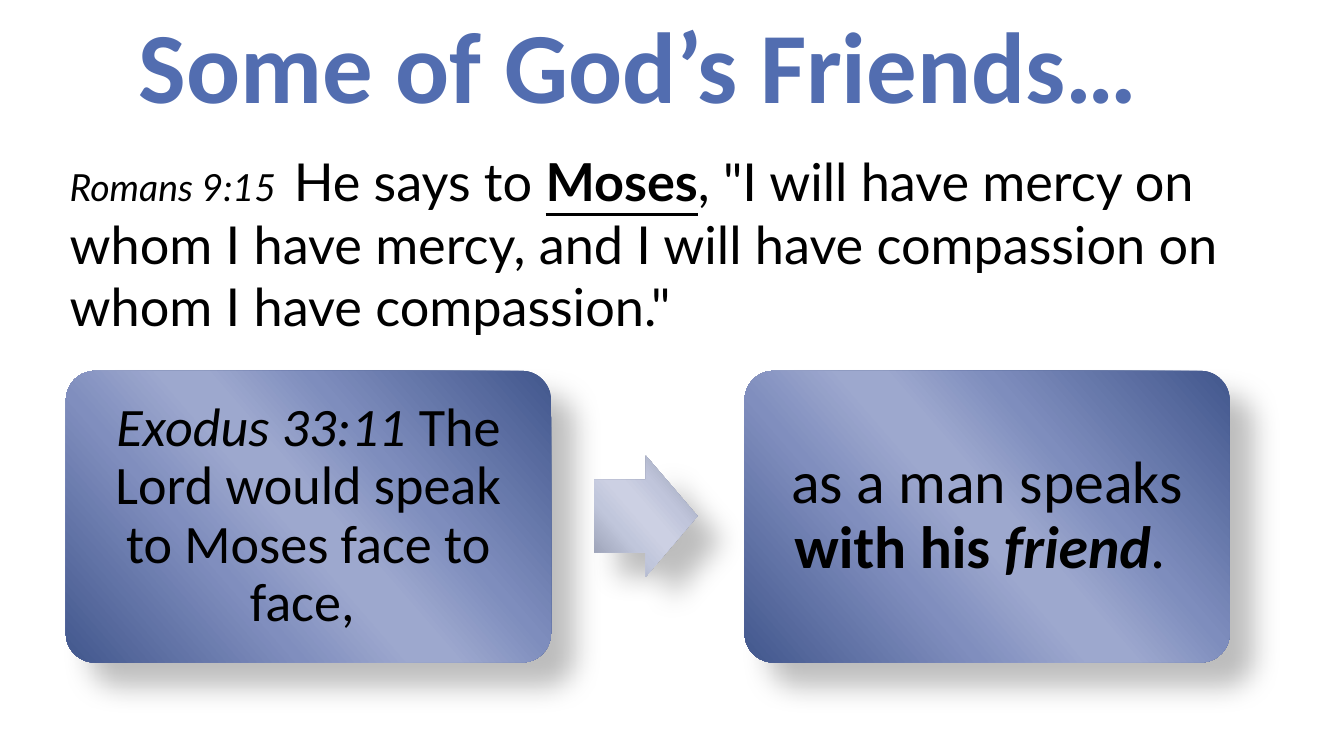
from dataclasses import dataclass

from lxml import etree
from pptx import Presentation
from pptx import util as u
from pptx.dml.color import RGBColor
from pptx.enum import shapes, text
from pptx.oxml.ns import qn


@dataclass(frozen=True)
class Theme:
    title: str = "526DB0"
    ink: str = "000000"
    card: tuple = ("42578D", "7E8DBD", "9DA8CE", "9DA8CE", "808EBE", "42578D")
    arrow: tuple = ("8F95AA", "C0C5DB", "CCD0E3", "CCD0E3", "C0C6DB", "8F95AA")
    stops: tuple = (0, 33, 47, 53, 68, 100)
    title_size: int = 54
    friend_size: int = 32
    exodus_size: int = 29
    verse_size: int = 28
    reference_size: int = 20


theme = Theme()


def add_runs(paragraph, runs, font_name, color):
    """Add (wording, size, styles) runs; styles holds any of b, i and u."""
    for wording, size, styles in runs:
        run = paragraph.add_run()
        run.text = wording
        run.font.name = font_name
        run.font.size = u.Pt(size)
        run.font.color.rgb = RGBColor.from_string(color)
        run.font.bold = "b" in styles
        run.font.italic = "i" in styles
        run.font.underline = "u" in styles


def add_glossy_shape(kind, left, top, width, height, colors):
    """Add a borderless shape with a diagonal gradient and a soft shadow."""
    shape = slide.shapes.add_shape(
        kind, u.Inches(left), u.Inches(top), u.Inches(width), u.Inches(height))
    shape.line.fill.background()
    shape.fill.gradient()
    shape.fill.gradient_angle = 221
    properties = shape._element.spPr
    stop_list = properties.find(".//" + qn("a:gsLst"))
    for stop in list(stop_list):
        stop_list.remove(stop)
    for position, color in zip(theme.stops, colors):
        stop = etree.SubElement(stop_list, qn("a:gs"), pos=str(position * 1000))
        etree.SubElement(stop, qn("a:srgbClr"), val=color)

    shape.shadow.inherit = False
    shadow = etree.SubElement(
        properties.find(qn("a:effectLst")), qn("a:outerShdw"),
        blurRad=str(u.Pt(15)), dist=str(u.Pt(18)), dir=str(45 * 60000),
        algn="tl", rotWithShape="0")
    shadow_color = etree.SubElement(shadow, qn("a:srgbClr"), val=theme.ink)
    etree.SubElement(shadow_color, qn("a:alpha"), val="26000")
    return shape


presentation = Presentation()
presentation.slide_width = u.Inches(10)
presentation.slide_height = u.Inches(10 * 9 / 16)
slide = presentation.slides.add_slide(presentation.slide_layouts[6])

# Title
title = slide.shapes.add_textbox(0, 0, u.Inches(9.5), u.Inches(0.94)).text_frame
title.word_wrap = True
title.vertical_anchor = text.MSO_ANCHOR.MIDDLE
title.paragraphs[0].alignment = text.PP_ALIGN.CENTER
add_runs(title.paragraphs[0], [("Some of God’s Friends…", theme.title_size, "b")],
         "Calibri", theme.title)

# Cards joined by an arrow
cards = [
    (0.49, 0.12, [("Exodus 33:11 ", theme.exodus_size, "i"),
                  ("The Lord would speak to Moses face to face, ",
                   theme.exodus_size, "")]),
    (5.54, 0.13, [("as a man speaks ", theme.friend_size, ""),
                  ("with his ", theme.friend_size, "b"),
                  ("friend", theme.friend_size, "bi"),
                  (". ", theme.friend_size, "i")]),
]
for left, inset, runs in cards:
    card = add_glossy_shape(shapes.MSO_SHAPE.ROUNDED_RECTANGLE,
                            left, 2.76, 3.61, 2.17, theme.card)
    card.adjustments[0] = 0.1
    frame = card.text_frame
    frame.word_wrap = True
    frame.vertical_anchor = text.MSO_ANCHOR.MIDDLE
    frame.margin_left = frame.margin_right = u.Inches(inset)
    frame.margin_top = frame.margin_bottom = u.Inches(inset)
    paragraph = frame.paragraphs[0]
    paragraph.alignment = text.PP_ALIGN.CENTER
    paragraph.line_spacing = 0.9
    add_runs(paragraph, runs, "Calibri", theme.ink)

arrow = add_glossy_shape(shapes.MSO_SHAPE.RIGHT_ARROW,
                         4.42, 3.39, 0.77, 0.9, theme.arrow)
arrow.adjustments[0] = 0.6
arrow.adjustments[1] = 0.5

# Verse
verse = slide.shapes.add_textbox(
    u.Inches(0.42), u.Inches(1.06), u.Inches(9.08), u.Inches(1.51)).text_frame
verse.word_wrap = True
verse.auto_size = text.MSO_AUTO_SIZE.SHAPE_TO_FIT_TEXT
add_runs(verse.paragraphs[0], [
    ("Romans 9:15  ", theme.reference_size, "i"),
    ("He says to ", theme.verse_size, ""),
    ("Moses", theme.verse_size, "bu"),
    (", \"I will have mercy on whom I have mercy, and I will have compassion "
     "on whom I have compassion.\"", theme.verse_size, ""),
], "Lato", theme.ink)

presentation.save("out.pptx")
